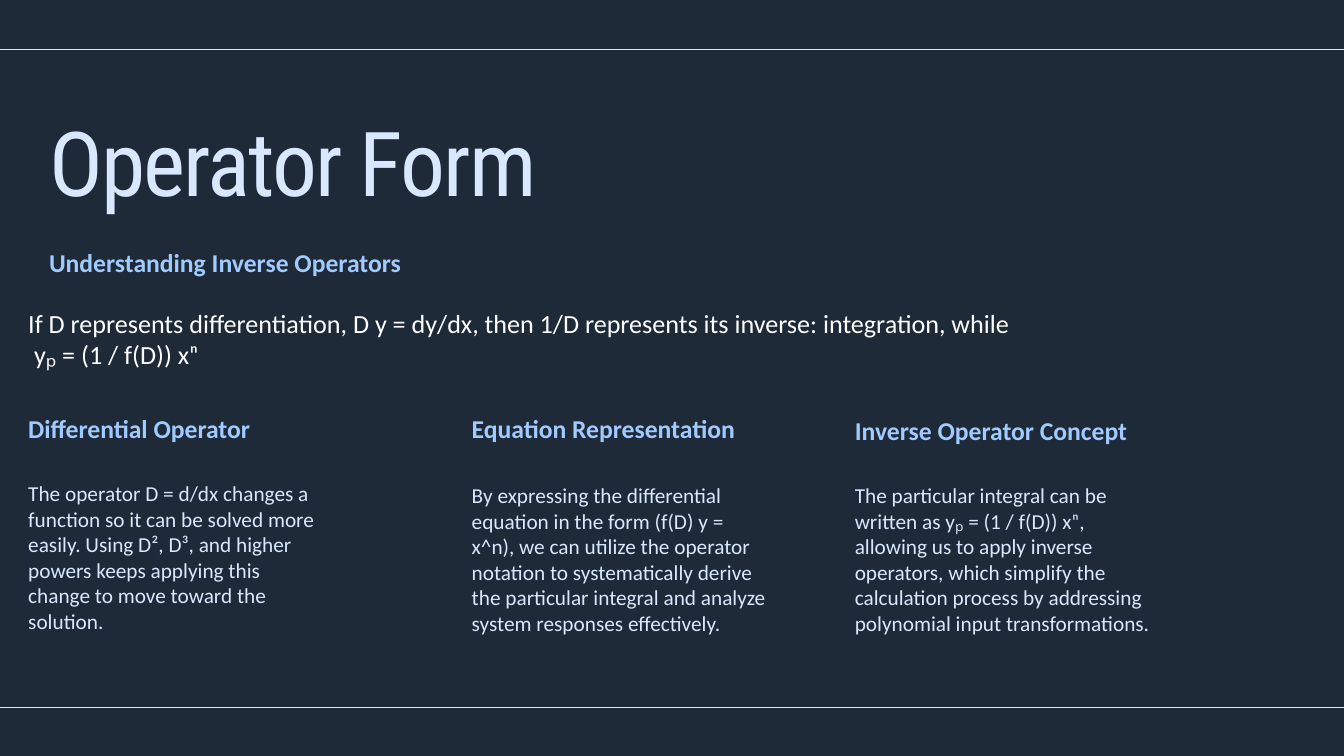
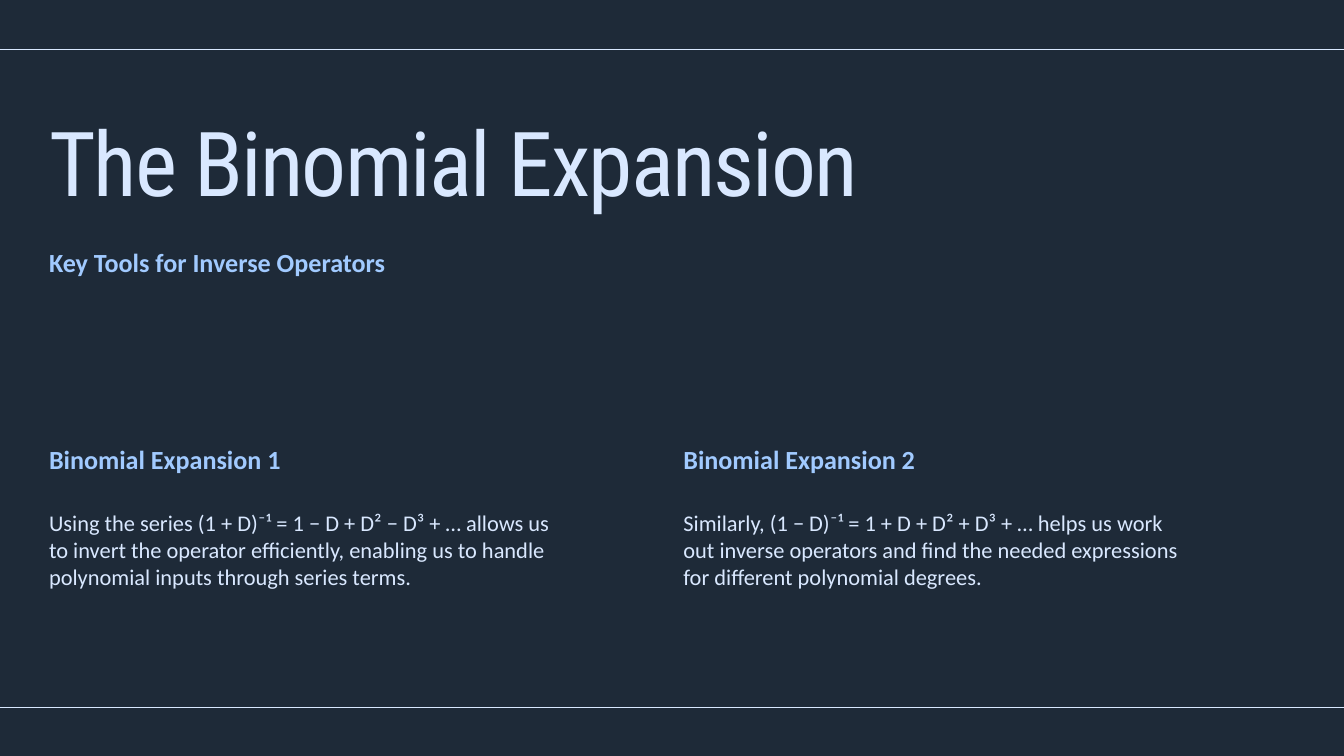
import dataclasses

import pptx
import pptx.dml.color
import pptx.enum.shapes
import pptx.enum.text
import pptx.oxml
import pptx.oxml.ns
import pptx.util


@dataclasses.dataclass(frozen=True)
class Style:
    """Look of one kind of text."""
    font: str
    size: float
    color: str
    bold: bool = False
    leading: float = 1.2
    tracking: float = 0


class Theme:
    """Colours, sizes and text styles shared by the slides."""
    width, height = 20, 11.25
    background = "1E2A38"
    pale, accent, white = "D9E8FF", "A1CAFF", "FFFFFF"
    margin, edge = 0.73, 0.42
    title = Style("Roboto Condensed", 96, pale, leading=1, tracking=-1.9)
    heading = Style("Calibri", 28, accent, bold=True)
    body = Style("Calibri", 24, pale)
    small_heading = dataclasses.replace(heading, size=27.5)
    small_body = dataclasses.replace(body, size=22.8)
    formula = Style("Calibri", 28, white)


def rgb(color):
    """Turn a hex string into a colour."""
    return pptx.dml.color.RGBColor.from_string(color)


def add_text(slide, text, style, left, top, width, height):
    """Add a wrapping text box without insets, one paragraph per line."""
    box = slide.shapes.add_textbox(*map(pptx.util.Inches, (left, top, width, height)))
    frame = box.text_frame
    frame.word_wrap = True
    frame.auto_size = pptx.enum.text.MSO_AUTO_SIZE.SHAPE_TO_FIT_TEXT
    frame.margin_left = frame.margin_right = frame.margin_top = frame.margin_bottom = 0
    frame.text = text
    for paragraph in frame.paragraphs:
        paragraph.line_spacing = pptx.util.Pt(style.size * style.leading)
        for run in paragraph.runs:
            run.font.name = style.font
            run.font.size = pptx.util.Pt(style.size)
            run.font.bold = style.bold
            run.font.color.rgb = rgb(style.color)
            if style.tracking:
                run._r.get_or_add_rPr().set("spc", str(round(style.tracking * 100)))


def add_rule(slide, top):
    """Draw a thin line across the whole slide."""
    y = pptx.util.Inches(top)
    rule = slide.shapes.add_connector(
        pptx.enum.shapes.MSO_CONNECTOR.STRAIGHT, 0, y, pptx.util.Inches(Theme.width), y)
    rule.line.color.rgb = rgb(Theme.pale)
    rule.line.width = pptx.util.Pt(1.5)
    rule._element.spPr.append(pptx.oxml.parse_xml(
        f"<a:effectLst {pptx.oxml.ns.nsdecls('a')}/>"))


def add_framed_slide(presentation, title, subtitle, subtitle_style):
    """Add a slide with background, two rules, title and subtitle."""
    slide = presentation.slides.add_slide(presentation.slide_layouts[6])
    slide.background.fill.solid()
    slide.background.fill.fore_color.rgb = rgb(Theme.background)
    for top in (0.74, 10.53):
        add_rule(slide, top)
    width = Theme.width - 2 * Theme.margin
    add_text(slide, title, Theme.title, Theme.margin, 1.86, width, 1.45)
    add_text(slide, subtitle, subtitle_style, Theme.margin, 3.67, width, 0.46)
    return slide


def add_column(slide, heading, body, styles, left, tops, width, body_height):
    """Add a heading with its explanation below."""
    for text, style, top, height in zip((heading, body), styles, tops, (0.46, body_height)):
        add_text(slide, text, style, left, top, width, height)


def add_operator_slide(presentation):
    """Build the slide on the operator form."""
    slide = add_framed_slide(presentation, "Operator Form",
                             "Understanding Inverse Operators", Theme.small_heading)
    add_text(slide,
             "If D represents differentiation, D y = dy/dx, then 1/D represents its inverse: "
             "integration, while\n yₚ = (1 / f(D)) xⁿ",
             Theme.formula, Theme.edge, 4.57, 16.32, 0.92)
    columns = [
        (Theme.edge, (6.15, 7.15), 2.26, "Differential Operator",
         "The operator D = d/dx changes a function so it can be solved more easily. "
         "Using D², D³, and higher powers keeps applying this change to move toward "
         "the solution."),
        (7.02, (6.15, 7.18), 2.63, "Equation Representation",
         "By expressing the differential equation in the form (f(D) y = x^n), we can "
         "utilize the operator notation to systematically derive the particular integral "
         "and analyze system responses effectively."),
        (12.72, (6.18, 7.18), 2.63, "Inverse Operator Concept",
         "The particular integral can be written as yₚ = (1 / f(D)) xⁿ, allowing us to "
         "apply inverse operators, which simplify the calculation process by addressing "
         "polynomial input transformations."),
    ]
    styles = (Theme.small_heading, Theme.small_body)
    for left, tops, body_height, heading, body in columns:
        add_column(slide, heading, body, styles, left, tops, 4.39, body_height)


def add_binomial_slide(presentation):
    """Build the slide on the binomial expansion."""
    slide = add_framed_slide(presentation, "The Binomial Expansion",
                             "Key Tools for Inverse Operators", Theme.heading)
    bodies = [
        "Using the series (1 + D)⁻¹ = 1 − D + D² − D³ + … allows us to invert the operator "
        "efficiently, enabling us to handle polynomial inputs through series terms.",
        "Similarly, (1 − D)⁻¹ = 1 + D + D² + D³ + … helps us work out inverse operators "
        "and find the needed expressions for different polynomial degrees.",
    ]
    column_step = 9.44
    for index, body in enumerate(bodies):
        add_column(slide, f"Binomial Expansion {index + 1}", body,
                   (Theme.heading, Theme.body), Theme.margin + index * column_step,
                   (6.6, 7.58), 7.53, 1.19)


def main():
    """Build and save the presentation."""
    presentation = pptx.Presentation()
    presentation.slide_width = pptx.util.Inches(Theme.width)
    presentation.slide_height = pptx.util.Inches(Theme.height)
    add_operator_slide(presentation)
    add_binomial_slide(presentation)
    presentation.save("out.pptx")


if __name__ == "__main__":
    main()
